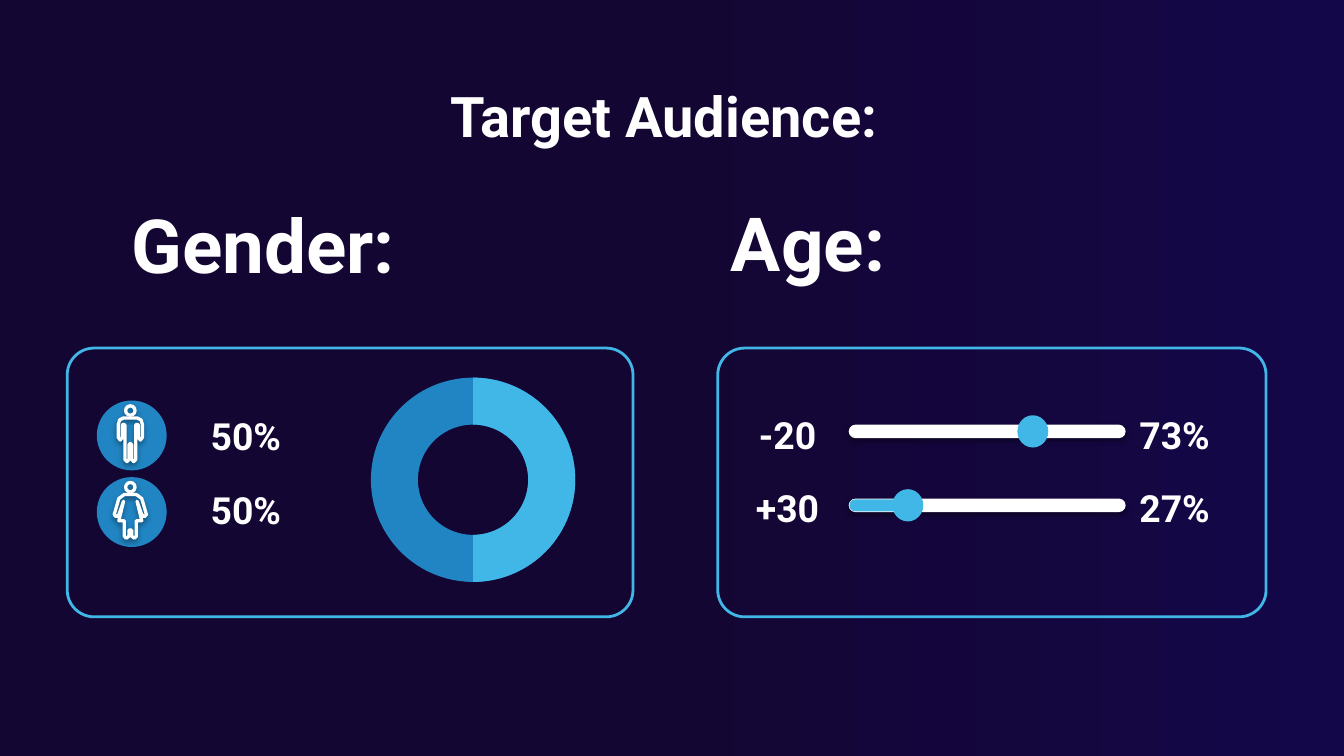
from lxml import etree
from pptx import Presentation
from pptx.dml.color import RGBColor
from pptx.enum.shapes import MSO_SHAPE
from pptx.enum.text import MSO_ANCHOR, PP_ALIGN
from pptx.oxml.ns import qn
from pptx.util import Inches, Pt

ROUNDED = MSO_SHAPE.ROUNDED_RECTANGLE
OVAL = MSO_SHAPE.OVAL
DONUT = MSO_SHAPE.DONUT
BLOCK_ARC = MSO_SHAPE.BLOCK_ARC
MIDDLE = MSO_ANCHOR.MIDDLE
LEFT, CENTER = PP_ALIGN.LEFT, PP_ALIGN.CENTER

NAVY = RGBColor(0x14, 0x06, 0x33)
INDIGO = RGBColor(0x14, 0x07, 0x49)
BLUE = RGBColor(0x21, 0x85, 0xC4)
SKY = RGBColor(0x40, 0xB7, 0xE6)
WHITE = RGBColor(0xFF, 0xFF, 0xFF)
FONT = "Roboto"

HEADINGS = [
    ("Target Audience:", (0.72, 0.54, 8.44, 0.63), 30, CENTER),
    ("Gender:", (0.88, 1.66, 2.38, 0.3), 40, LEFT),
    ("Age:", (5.34, 1.64, 2.05, 0.32), 40, LEFT),
]
PANELS = [(0.5, 2.59, 4.21, 2), (5.34, 2.59, 4.08, 2)]

MAN = [(50, 130), (80, 145), (90, 180), (90, 275), (75, 295), (60, 275),
       (60, 185), (50, 175), (40, 185), (40, 440), (25, 455), (10, 440),
       (10, 330), (0, 320)]
WOMAN = [(45, 130), (85, 160), (120, 280), (105, 295), (85, 280), (50, 180),
         (85, 325), (45, 325), (45, 440), (30, 455), (10, 440), (10, 395)]
GENDERS = [("50%", MAN), ("50%", WOMAN)]
AGES = [("-20", "73%", 7.57, 0), ("+30", "27%", 6.64, 0.46)]

GENDER_TOP, AGE_TOP, ROW_STEP, ROW_HEIGHT = 2.98, 2.97, 0.55, 0.52
ICON_LEFT, ICON_SIZE, ICON_STEP, HEAD_SIZE = 0.72, 0.52, 0.57, 0.07
TRACK_LEFT, TRACK_WIDTH, TRACK_HEIGHT = 6.32, 2.05, 0.09
THUMB_WIDTH, THUMB_HEIGHT = 0.23, 0.24
DONUT_BOX = (2.76, 2.81, 1.52, 1.52)

presentation = Presentation()
presentation.slide_width = Inches(10)
presentation.slide_height = presentation.slide_width * 9 // 16
slide = presentation.slides.add_slide(presentation.slide_layouts[6])

background = slide.background.fill
background.gradient()
background.gradient_angle = 0
for stop, (position, color) in zip(background.gradient_stops, [(0.5, NAVY), (1, INDIGO)]):
    stop.position = position
    stop.color.rgb = color


def style(shape, fill=None, line=None, width=1.5):
    shape.shadow.inherit = False
    if fill is None:
        shape.fill.background()
    else:
        shape.fill.solid()
        shape.fill.fore_color.rgb = fill
    if line is None:
        shape.line.fill.background()
    else:
        shape.line.color.rgb = line
        shape.line.width = Pt(width)
    return shape


def add_shape(preset, box, adjustments=(), **colors):
    shape = slide.shapes.add_shape(preset, *map(Inches, box))
    for index, value in enumerate(adjustments):
        shape.adjustments[index] = value
    return style(shape, **colors)


def add_text(text, box, size, alignment=CENTER, inset=0.1):
    text_box = slide.shapes.add_textbox(*map(Inches, box))
    frame = text_box.text_frame
    frame.word_wrap = True
    frame.vertical_anchor = MIDDLE
    frame.margin_left = frame.margin_right = Inches(inset)
    frame.margin_top = frame.margin_bottom = Inches(0.1)
    paragraph = frame.paragraphs[0]
    paragraph.text = text
    paragraph.alignment = alignment
    font = paragraph.font
    font.name, font.size, font.bold = FONT, Pt(size), True
    font.color.rgb = WHITE


def add_shadow(shape):
    effects = shape._element.spPr.find(qn("a:effectLst"))
    shadow = etree.SubElement(effects, qn("a:outerShdw"), blurRad=str(Pt(3.1)),
                              dist=str(Pt(1.6)), dir="5400000", algn="bl", rotWithShape="0")
    color = etree.SubElement(shadow, qn("a:srgbClr"), val="000000")
    etree.SubElement(color, qn("a:alpha"), val="38000")


def add_person(top, half_outline):
    add_shape(OVAL, (ICON_LEFT, top, ICON_SIZE, ICON_SIZE), fill=BLUE)
    middle = ICON_LEFT + ICON_SIZE / 2 - 0.01
    head = add_shape(OVAL, (middle - HEAD_SIZE / 2, top + 0.04, HEAD_SIZE, HEAD_SIZE),
                     line=WHITE, width=1.75)
    mirrored = [(-x, y) for x, y in reversed(half_outline)]
    points = [(middle * 1000 + x, top * 1000 + y) for x, y in half_outline + mirrored]
    builder = slide.shapes.build_freeform(*points[0], scale=Inches(1) / 1000)
    builder.add_line_segments(points[1:], close=True)
    body = style(builder.convert_to_shape(), line=WHITE, width=1.75)
    add_shadow(head)
    add_shadow(body)


for text, box, size, alignment in HEADINGS:
    add_text(text, box, size, alignment)
for box in PANELS:
    add_shape(ROUNDED, box, [0.1], line=SKY)

add_shape(DONUT, DONUT_BOX, [0.23], fill=BLUE)
add_shape(BLOCK_ARC, DONUT_BOX, [162, 54, 0.23], fill=SKY)

for row, (share, half_outline) in enumerate(GENDERS):
    add_person(GENDER_TOP + row * ICON_STEP, half_outline)
    add_text(share, (1.4, GENDER_TOP + row * ROW_STEP, 0.86, ROW_HEIGHT), 20, inset=0)

for row, (age, share, thumb_left, filled) in enumerate(AGES):
    top = AGE_TOP + row * ROW_STEP
    middle = top + 0.24
    add_text(age, (5.44, top, 0.84, ROW_HEIGHT), 20)
    add_text(share, (8.32, top, 0.84, ROW_HEIGHT), 20, inset=0.05)
    track_top = middle - TRACK_HEIGHT / 2
    track = add_shape(ROUNDED, (TRACK_LEFT, track_top, TRACK_WIDTH, TRACK_HEIGHT), [0.5],
                      fill=WHITE, line=WHITE, width=0.75)
    add_shadow(track)
    if filled:
        add_shape(ROUNDED, (TRACK_LEFT, track_top, filled, TRACK_HEIGHT), [0.5], fill=SKY)
    add_shape(OVAL, (thumb_left, middle - THUMB_HEIGHT / 2, THUMB_WIDTH, THUMB_HEIGHT), fill=SKY)

presentation.save("out.pptx")
